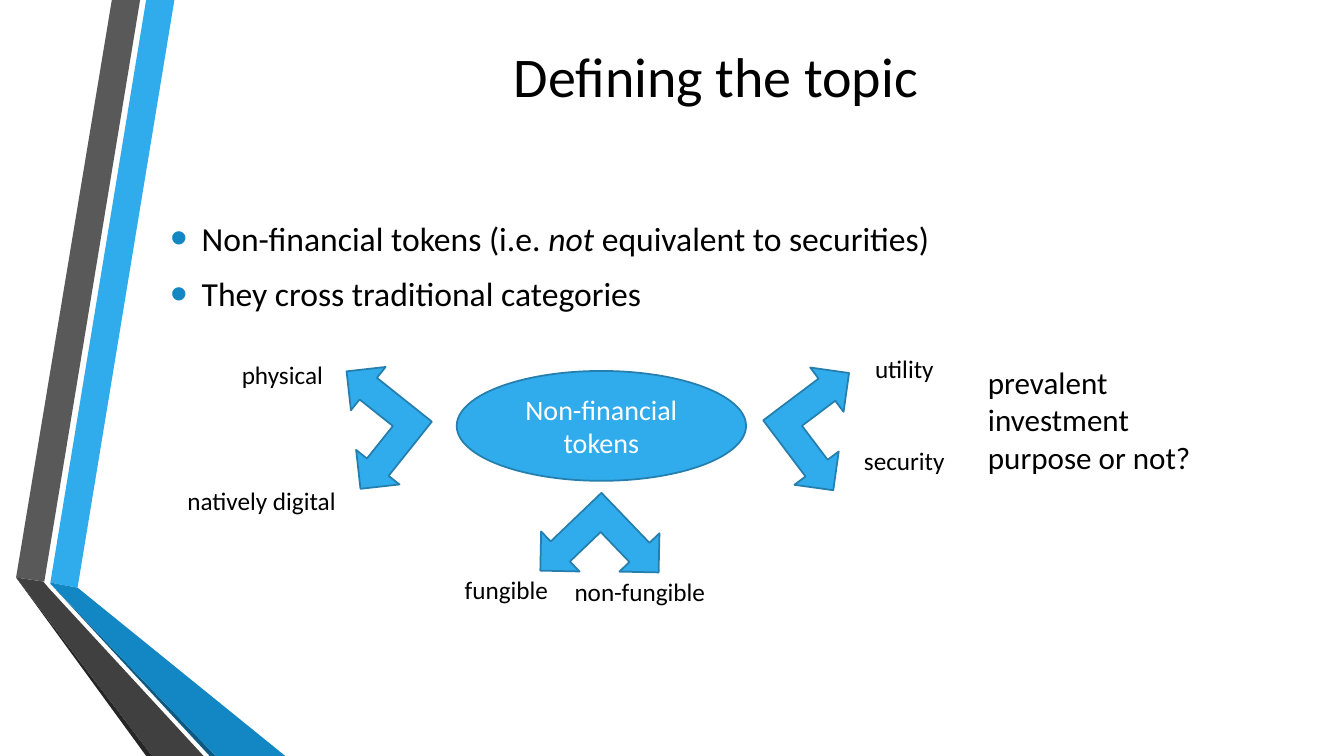
from lxml import etree
from pptx import Presentation
from pptx.dml.color import RGBColor
from pptx.enum.shapes import MSO_SHAPE
from pptx.enum.text import MSO_ANCHOR, PP_ALIGN
from pptx.oxml.ns import qn
from pptx.util import Inches, Pt

LEFT, CENTER = PP_ALIGN.LEFT, PP_ALIGN.CENTER
TOP, MIDDLE = MSO_ANCHOR.TOP, MSO_ANCHOR.MIDDLE
OVAL, FORKED_ARROW = MSO_SHAPE.OVAL, MSO_SHAPE.LEFT_UP_ARROW

FONT = "Calibri"
COLORS = {
    "text": "000000",
    "white": "FFFFFF",
    "blue": "30ACEC",
    "outline": "247FAF",
    "bullet": "1287C3",
    "deep_blue": "0C5A82",
    "gray": "595959",
    "dark_gray": "404040",
    "black_gray": "262626",
}
RIBBONS = [
    ("blue", [(0.5, 5.78), (0.77, 5.83), (1.73, 0), (1.45, 0)]),
    ("gray", [(1.39, 0), (1.11, 0), (0.16, 5.73), (0.44, 5.77)]),
    ("black_gray", [(0.16, 5.73), (1.45, 7.5), (1.51, 7.5)]),
    ("deep_blue", [(0.5, 5.79), (2.08, 7.5), (2.14, 7.5)]),
    ("bullet", [(0.5, 5.79), (2.14, 7.5), (2.83, 7.5), (0.77, 5.83), (0.5, 5.78)]),
    ("dark_gray", [(2.02, 7.5), (0.48, 5.83), (0.43, 5.77), (0.16, 5.73), (1.51, 7.5)]),
]
BULLETS = [
    [("Non-financial tokens (i.e. ", False), ("not ", True), ("equivalent to securities)", False)],
    [("They cross traditional categories", False)],
]
ARROWS = [(3.15, 3.69, 308.6), (5.4, 4.92, 226.2), (7.6, 3.7, 143)]
LABELS = [
    ("physical", 2.3, 3.52, 1.17),
    ("natively digital", 1.76, 4.77, 1.78),
    ("fungible", 4.51, 5.65, 1.08),
    ("non-fungible", 5.6, 5.67, 1.54),
    ("utility", 8.58, 3.46, 1.08),
    ("security", 8.47, 4.37, 1.08),
]


def color(name):
    """Return the named colour."""
    return RGBColor.from_string(COLORS[name])


def write_text(shape, paragraphs, size=18, font_color="text", align=LEFT, anchor=TOP,
               before=0, after=0):
    """Write paragraphs, each a list of (text, italic) runs, into a shape."""
    frame = shape.text_frame
    frame.word_wrap = True
    frame.vertical_anchor = anchor
    for index, runs in enumerate(paragraphs):
        paragraph = frame.add_paragraph() if index else frame.paragraphs[0]
        paragraph.alignment = align
        paragraph.space_before, paragraph.space_after = Pt(before), Pt(after)
        for text, italic in runs:
            run = paragraph.add_run()
            run.text = text
            run.font.name = FONT
            run.font.size = Pt(size)
            run.font.italic = italic
            run.font.color.rgb = color(font_color)


def place(shape, left, top, width, height):
    """Move and size a shape, in inches."""
    shape.left, shape.top = Inches(left), Inches(top)
    shape.width, shape.height = Inches(width), Inches(height)


def add_bullet(paragraph):
    """Give a paragraph a large coloured bullet and a hanging indent."""
    properties = paragraph._p.get_or_add_pPr()
    properties.set("marL", str(Inches(0.31)))
    properties.set("indent", str(-Inches(0.31)))
    bullet_color = etree.SubElement(properties, qn("a:buClr"))
    etree.SubElement(bullet_color, qn("a:srgbClr"), val=COLORS["bullet"])
    etree.SubElement(properties, qn("a:buSzPct"), val="145000")
    etree.SubElement(properties, qn("a:buFont"), typeface="Arial")
    etree.SubElement(properties, qn("a:buChar"), char="•")


def add_ribbon(slide, fill, points):
    """Draw one filled polygon of the side decoration."""
    start, *others = [(Inches(x), Inches(y)) for x, y in points]
    builder = slide.shapes.build_freeform(*start)
    builder.add_line_segments(others, close=True)
    ribbon = builder.convert_to_shape()
    ribbon.shadow.inherit = False
    ribbon.fill.solid()
    ribbon.fill.fore_color.rgb = color(fill)
    ribbon.line.fill.background()


def add_blue_shape(slide, kind, left, top, width, height, rotation=0):
    """Add a blue preset shape with a darker outline."""
    shape = slide.shapes.add_shape(
        kind, Inches(left), Inches(top), Inches(width), Inches(height))
    shape.rotation = rotation
    shape.shadow.inherit = False
    shape.fill.solid()
    shape.fill.fore_color.rgb = color("blue")
    shape.line.color.rgb = color("outline")
    shape.line.width = Pt(1.25)
    return shape


def add_label(slide, text, left, top, width, height=0.4, **text_format):
    """Add a text box."""
    box = slide.shapes.add_textbox(
        Inches(left), Inches(top), Inches(width), Inches(height))
    write_text(box, [[(text, False)]], **text_format)


def fill_placeholders(slide):
    """Fill the title and the bulleted list."""
    title, body = slide.shapes.title, slide.placeholders[1]
    place(title, 1.62, 0.1, 10.96, 1.29)
    write_text(title, [[("Defining the topic", False)]], size=40, align=CENTER, anchor=MIDDLE)
    place(body, 1.59, 1.71, 10.96, 2.41)
    body.text_frame.margin_bottom = Inches(0.61)
    write_text(body, BULLETS, size=24, anchor=MIDDLE, before=4.8, after=6)
    for paragraph in body.text_frame.paragraphs:
        add_bullet(paragraph)
    for placeholder in (title, body):
        slide.shapes.element.append(placeholder.element)


def main():
    """Build the slide and save it."""
    presentation = Presentation()
    presentation.slide_width, presentation.slide_height = Inches(13.33), Inches(7.5)
    slide = presentation.slides.add_slide(presentation.slide_layouts[1])
    for fill, points in RIBBONS:
        add_ribbon(slide, fill, points)
    fill_placeholders(slide)
    for left, top, rotation in ARROWS:
        add_blue_shape(slide, FORKED_ARROW, left, top, 1.1, 1.11, rotation)
    for label in LABELS:
        add_label(slide, *label)
    add_label(slide, "prevalent investment purpose or not?", 9.7, 3.64, 2.27, 1.04,
              size=22.2, anchor=MIDDLE, before=4.4, after=6)
    oval = add_blue_shape(slide, OVAL, 4.53, 3.68, 2.87, 1.09)
    write_text(oval, [[("Non-financial tokens", False)]], size=20, font_color="white",
               align=CENTER, anchor=MIDDLE)
    presentation.save("out.pptx")


if __name__ == "__main__":
    main()
